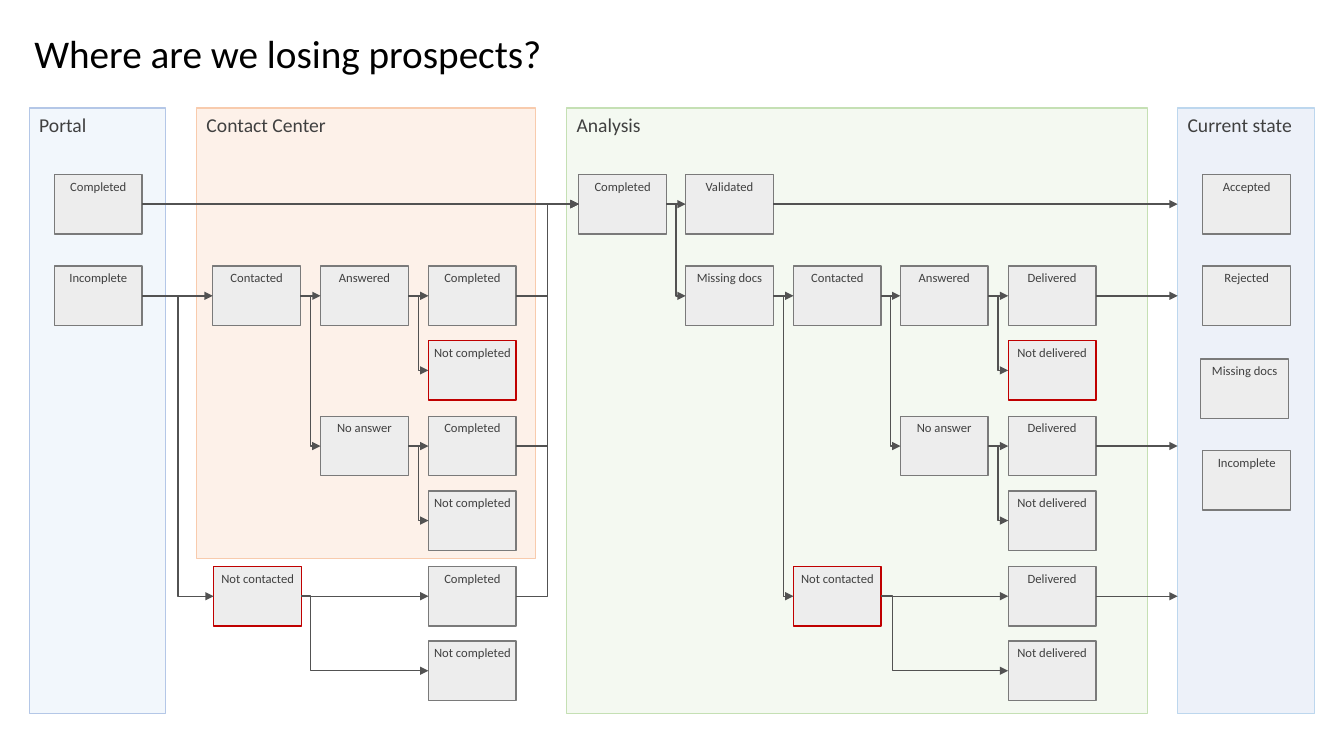
from lxml import etree
from pptx import Presentation
from pptx.dml.color import RGBColor
from pptx.enum.shapes import MSO_CONNECTOR, MSO_SHAPE
from pptx.enum.text import MSO_ANCHOR, MSO_AUTO_SIZE, PP_ALIGN
from pptx.oxml.ns import qn
from pptx.util import Pt

RECT = MSO_SHAPE.RECTANGLE
STRAIGHT, ELBOW = MSO_CONNECTOR.STRAIGHT, MSO_CONNECTOR.ELBOW
TOP = MSO_ANCHOR.TOP
LEFT, CENTER = PP_ALIGN.LEFT, PP_ALIGN.CENTER
PX = 9144
FONT = "Calibri"
COLORS = {
    "title": "000000", "text": "404040", "arrow": "525252",
    "box": "EDEDED", "edge": "7A7A7A", "loss": "C00000",
    "portal": "F2F7FC", "portal_edge": "B4C7E7",
    "center": "FDF1E9", "center_edge": "F8CBAD",
    "analysis": "F4F9F1", "analysis_edge": "C5E0B4",
    "state": "EDF1F9", "state_edge": "BDD7EE",
}


def color(name):
    return RGBColor.from_string(COLORS[name])


def add_panel(text, x, y, w, h, fill, edge, size, align):
    sp = s.shapes.add_shape(RECT, x * PX, y * PX, w * PX, h * PX)
    sp.shadow.inherit = False
    sp.fill.solid()
    sp.fill.fore_color.rgb = color(fill)
    sp.line.color.rgb = color(edge)
    sp.line.width = Pt(1)
    tf = sp.text_frame
    tf.vertical_anchor = TOP
    p = tf.paragraphs[0]
    p.text = text
    p.alignment = align
    p.font.name = FONT
    p.font.size = Pt(size)
    p.font.color.rgb = color("text")
    return sp


prs = Presentation()
prs.slide_width, prs.slide_height = 1333 * PX, 750 * PX
s = prs.slides.add_slide(prs.slide_layouts[5])

title = s.shapes.title
title.left, title.top, title.width, title.height = 24 * PX, 24 * PX, 529 * PX, 57 * PX
tf = title.text_frame
tf.word_wrap = False
tf.auto_size = MSO_AUTO_SIZE.SHAPE_TO_FIT_TEXT
tf.vertical_anchor = TOP
p = tf.paragraphs[0]
p.text = "Where are we losing prospects?"
p.alignment = LEFT
p.font.name = FONT
p.font.size = Pt(28)
p.font.color.rgb = color("title")

for text, x, w, h, fill in [
    ("Portal", 29, 135, 601, "portal"),
    ("Contact Center", 195, 336, 447, "center"),
    ("Analysis", 562, 576, 601, "analysis"),
    ("Current state", 1168, 136, 601, "state"),
]:
    add_panel(text, x, 107, w, h, fill, fill + "_edge", 14, LEFT)

BOX_W, BOX_H = 87, 59
ROWS = [173] + [264 + round(74.4 * i) for i in range(6)]
STATE_ROWS = [173, 264, 356, 447]

steps = [
    ("portal_done", "Completed", 54, 0, "edge"),
    ("portal_open", "Incomplete", 54, 1, "edge"),
    ("contacted", "Contacted", 211, 1, "edge"),
    ("not_contacted", "Not contacted", 212, 5, "loss"),
    ("answered", "Answered", 318, 1, "edge"),
    ("no_answer", "No answer", 318, 3, "edge"),
    ("validation", "Completed", 574, 0, "edge"),
    ("validated", "Validated", 680, 0, "edge"),
    ("missing", "Missing docs", 680, 1, "edge"),
    ("docs_contacted", "Contacted", 787, 1, "edge"),
    ("docs_not_contacted", "Not contacted", 787, 5, "loss"),
    ("docs_answered", "Answered", 893, 1, "edge"),
    ("docs_no_answer", "No answer", 893, 3, "edge"),
]
for stage, word, x in [("done", "completed", 425), ("docs", "delivered", 1000)]:
    for row in (1, 3, 5):
        steps.append((f"{stage}{row}", word.capitalize(), x, row, "edge"))
        edge = "loss" if row == 1 else "edge"
        steps.append((f"{stage}{row + 1}", "Not " + word, x, row + 1, edge))

places = [(key, text, x, ROWS[row], edge) for key, text, x, row, edge in steps]
for text, x, y in zip(["Accepted", "Rejected", "Missing docs", "Incomplete"],
                      [1193, 1193, 1191, 1193], STATE_ROWS):
    places.append(("state_" + text, text, x, y, "edge"))

boxes = {}
for key, text, x, y, edge in places:
    sp = add_panel(text, x, y, BOX_W, BOX_H, "box", edge, 9, CENTER)
    tf = sp.text_frame
    tf.margin_left = tf.margin_right = tf.margin_top = tf.margin_bottom = 4 * PX
    boxes[key] = sp

STATE = "current state"
flows = [
    ("portal_done", "validation", None),
    ("validation", "validated", None),
    ("validated", STATE, None),
    ("portal_open", "contacted", None),
    ("contacted", "answered", None),
    ("answered", "done1", None),
    ("no_answer", "done3", None),
    ("not_contacted", "done5", None),
    ("missing", "docs_contacted", None),
    ("docs_contacted", "docs_answered", None),
    ("docs_answered", "docs1", None),
    ("docs_no_answer", "docs3", None),
    ("docs_not_contacted", "docs5", None),
    ("docs1", STATE, None),
    ("docs3", STATE, None),
    ("docs5", STATE, None),
    ("portal_open", "not_contacted", 50000),
    ("contacted", "no_answer", 50000),
    ("answered", "done2", 50000),
    ("no_answer", "done4", 50000),
    ("not_contacted", "done6", 7100),
    ("validation", "missing", 50000),
    ("missing", "docs_not_contacted", 50000),
    ("docs_contacted", "docs_no_answer", 50000),
    ("docs_answered", "docs2", 50000),
    ("docs_no_answer", "docs4", 50000),
    ("docs_not_contacted", "docs6", 8700),
    ("done1", "validation", 50000),
    ("done3", "validation", 50000),
    ("done5", "validation", 50000),
]
for start, end, bend in flows:
    a = boxes[start]
    y = a.top + a.height // 2
    kind = ELBOW if bend else STRAIGHT
    c = s.shapes.add_connector(kind, a.left + a.width, y, 1168 * PX, y)
    c.begin_connect(a, 3)
    if end != STATE:
        c.end_connect(boxes[end], 1)
    c.line.color.rgb = color("arrow")
    c.line.width = Pt(1)
    spPr = c.element.spPr
    etree.SubElement(spPr.find(qn("a:ln")), qn("a:tailEnd"), type="triangle")
    etree.SubElement(spPr, qn("a:effectLst"))
    if bend:
        guides = spPr.find(qn("a:prstGeom")).find(qn("a:avLst"))
        etree.SubElement(guides, qn("a:gd"), name="adj1", fmla=f"val {bend}")

prs.save("out.pptx")
